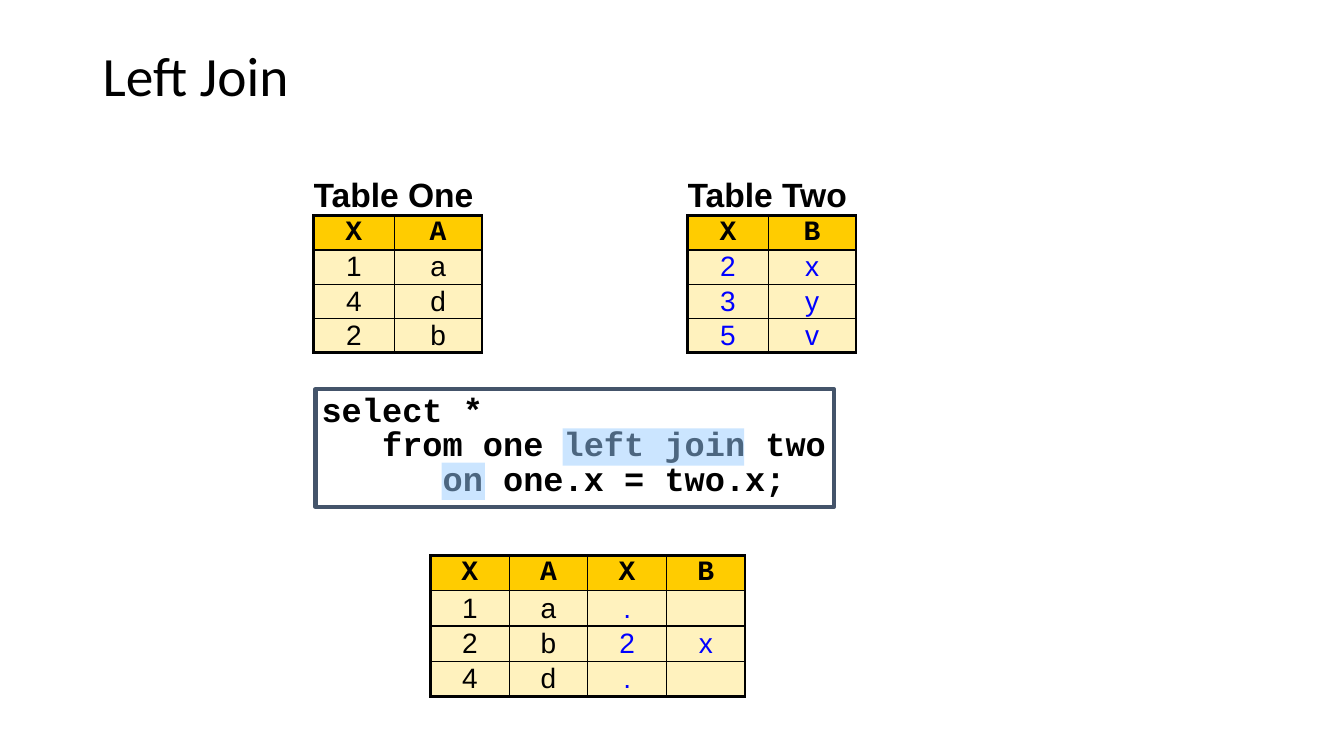
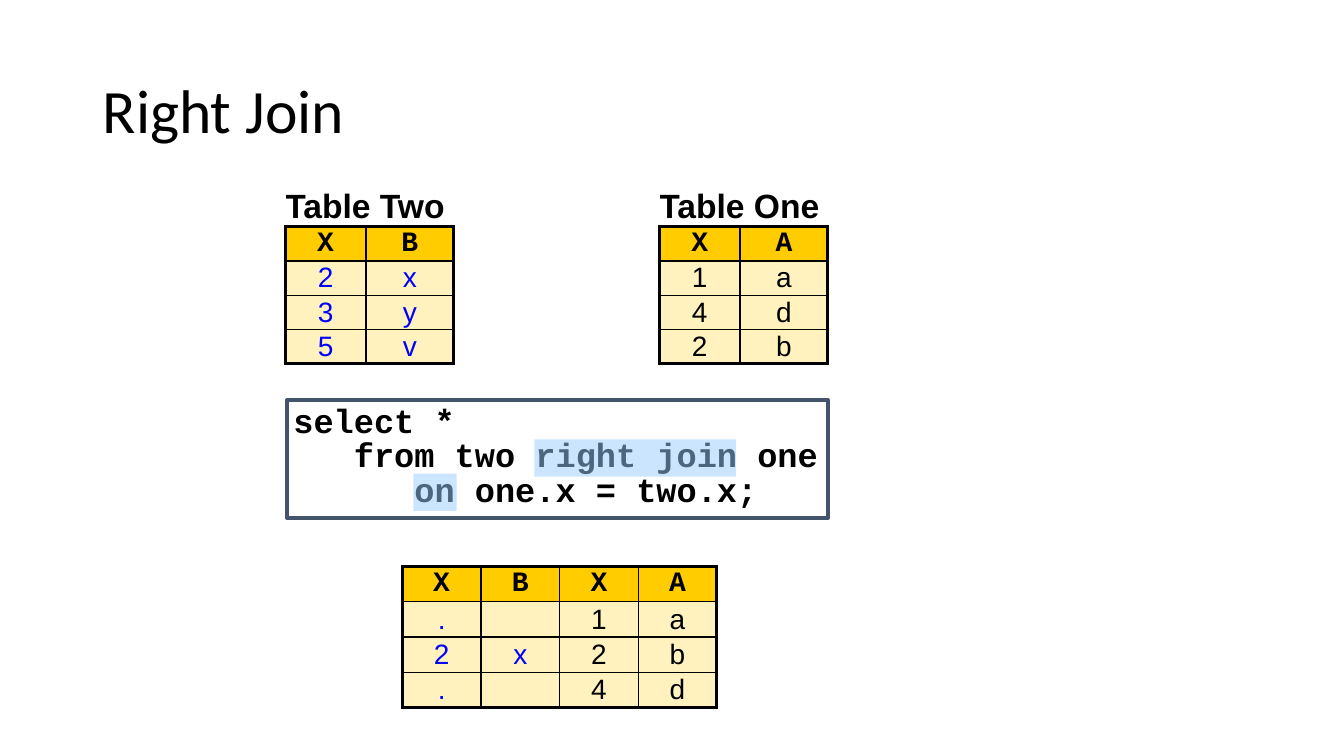
from pptx import Presentation
from pptx.dml.color import RGBColor
from pptx.enum.shapes import MSO_SHAPE
from pptx.enum.text import MSO_ANCHOR, PP_ALIGN
from pptx.oxml.ns import qn
from pptx.util import Inches, Pt
from lxml.etree import SubElement

HEX = {"ink": "000000", "blue": "0000FF", "head": "FFCC00", "body": "FFF2BE",
       "edge": "44546A", "mark": "99CCFF", "page": "FFFFFF"}
ONE = ["XA", "1a", "4d", "2b"]
TWO = ["XB", "2x", "3y", "5v"]
CHAR = 0.2


class Deck:
    """Holds the shared style and the current slide."""

    def __init__(self):
        self.prs = Presentation()
        self.prs.slide_width = Inches(13.33)
        self.prs.slide_height = Inches(7.5)
        self.slide = None

    def color(self, name):
        return RGBColor.from_string(HEX[name])

    def style(self, frame, face, size, tint="ink", bold=False, lead=None):
        for para in frame.paragraphs:
            para.line_spacing = lead
            for run in para.runs:
                font = run.font
                font.name, font.size, font.bold = face, Pt(size), bold
                font.color.rgb = self.color(tint)

    def title(self, text, size, high):
        self.slide = self.prs.slides.add_slide(self.prs.slide_layouts[6])
        box = self.slide.shapes.add_textbox(
            Inches(0.92), Inches(0.4), Inches(11.5), Inches(high))
        frame = box.text_frame
        frame.word_wrap = True
        frame.vertical_anchor = MSO_ANCHOR.MIDDLE
        frame.text = text
        self.style(frame, "Calibri", size, lead=0.9)

    def rect(self, left, top, wide, high, tint):
        box = self.slide.shapes.add_shape(
            MSO_SHAPE.RECTANGLE, Inches(left), Inches(top), Inches(wide), Inches(high))
        box.shadow.inherit = False
        box.fill.solid()
        box.fill.fore_color.rgb = self.color(tint)
        box.line.fill.background()
        return box

    def code(self, left, top, wide, text):
        box = self.rect(left, top, wide, 1.17, "page")
        box.line.color.rgb = self.color("edge")
        box.line.width = Pt(3)
        frame = box.text_frame
        frame.word_wrap = False
        frame.vertical_anchor = MSO_ANCHOR.TOP
        frame.margin_left = frame.margin_right = Inches(0.06)
        frame.margin_top = frame.margin_bottom = Inches(0.06)
        frame.text = text
        for para in frame.paragraphs:
            para.alignment = PP_ALIGN.LEFT
        self.style(frame, "Courier New", 24, bold=True, lead=0.85)

    def mark(self, left, top, wide):
        box = self.rect(left, top, wide, 0.37, "mark")
        tone = box.fill._xPr.find(".//" + qn("a:srgbClr"))
        SubElement(tone, qn("a:alpha"), val="50000")

    def edge(self, cell, side, width):
        line = SubElement(cell._tc.get_or_add_tcPr(), qn("a:ln" + side), w=str(Pt(width)))
        fill = SubElement(line, qn("a:solidFill"))
        SubElement(fill, qn("a:srgbClr"), val=HEX["ink"])

    def cell(self, cell, text, tint, face, bold, fill):
        cell.vertical_anchor = MSO_ANCHOR.MIDDLE
        cell.margin_top = cell.margin_bottom = 0
        cell.margin_left = cell.margin_right = Inches(0.1)
        cell.fill.solid()
        cell.fill.fore_color.rgb = self.color(fill)
        cell.text_frame.text = text.strip()
        cell.text_frame.paragraphs[0].alignment = PP_ALIGN.CENTER
        self.style(cell.text_frame, face, 20, tint, bold)

    def table(self, left, top, name, rows, wides, step, blue):
        count, last = len(wides), len(rows)
        grid = self.slide.shapes.add_table(
            last + 1, count, Inches(left), Inches(top),
            Inches(sum(wides)), Inches(0.4 + step * last)).table
        grid.first_row = grid.horz_banding = False
        for col, wide in zip(grid.columns, wides):
            col.width = Inches(wide)
        for row in grid.rows:
            row.height = Inches(step)
        grid.rows[0].height = Inches(0.4)

        for col in range(count):
            cap = grid.cell(0, col)
            cap.margin_left = cap.margin_right = 0
            cap.margin_top = cap.margin_bottom = 0
            cap.vertical_anchor = MSO_ANCHOR.MIDDLE
            self.edge(cap, "B", 2.25)
            cap.fill.background()
        grid.cell(0, 0).merge(grid.cell(0, count - 1))
        frame = grid.cell(0, 0).text_frame
        frame.text = name
        self.style(frame, "Arial", 24, bold=True)

        for y, row in enumerate(rows, 1):
            for x, text in enumerate(row):
                cell = grid.cell(y, x)
                ends = {"L": x == 0, "R": x == count - 1, "T": y == 1, "B": y == last}
                for side, outer in ends.items():
                    self.edge(cell, side, 2.25 if outer else 1)
                if y == 1:
                    self.cell(cell, text, "ink", "Courier New", True, "head")
                else:
                    tint = "blue" if x in blue else "ink"
                    self.cell(cell, text, tint, "Arial", False, "body")

    def join(self, left, top, pair, verb, wide, rows, blue):
        for num, (name, data) in enumerate(pair):
            tint = (0, 1) if data is TWO else ()
            self.table(left + 3.71 * num, top, "Table " + name, data, [0.8, 0.87], 0.34, tint)
        first, second = [name.lower() for name, data in pair]
        self.code(left + 0.02, top + 2.12, wide,
                  f"select *\n   from {first} {verb} {second}\n      on one.x = two.x;")
        self.table(left + 1.16, top + 3.37, "", rows, [0.78] * 4, 0.35, blue)
        self.mark(left + 2.47, top + 2.51, CHAR * len(verb))
        self.mark(left + 1.27, top + 2.85, 0.43)


def main():
    deck = Deck()
    one, two = ("One", ONE), ("Two", TWO)
    deck.title("Left Join", 39.6, 0.75)
    deck.join(3.11, 1.74, [one, two], "left join", 5.14,
              ["XAXB", "1a. ", "2b2x", "4d. "], (2, 3))
    deck.title("Right Join", 44, 1.45)
    deck.join(2.83, 1.85, [two, one], "right join", 5.36,
              ["XBXA", ". 1a", "2x2b", ". 4d"], (0, 1))
    deck.prs.save("out.pptx")


if __name__ == "__main__":
    main()
